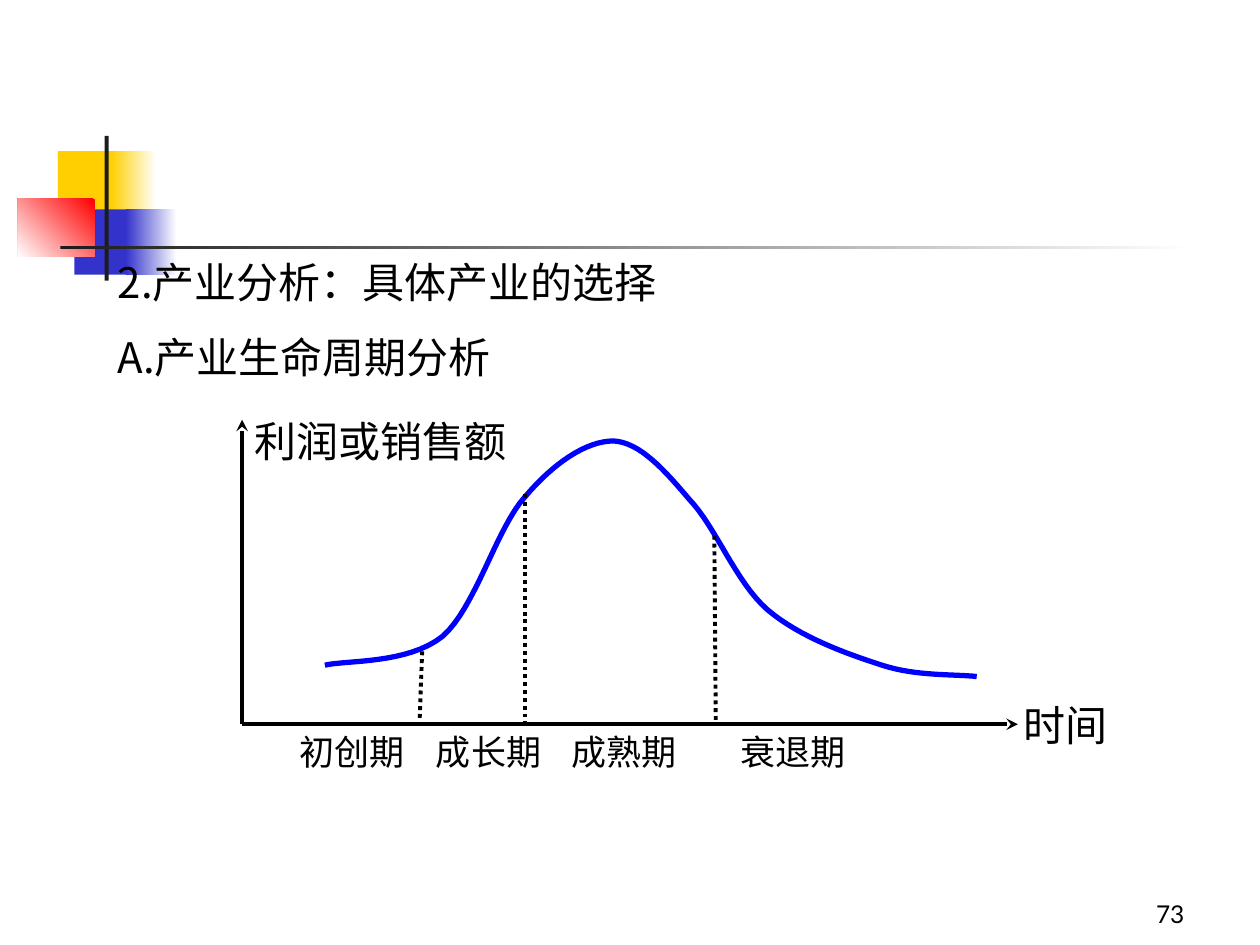
"""Build the industry life cycle slide."""
from dataclasses import dataclass

import lxml.etree
import pptx
import pptx.dml.color
import pptx.enum.dml
import pptx.enum.shapes
import pptx.enum.text
import pptx.oxml.ns
import pptx.util

Cm = pptx.util.Cm
Pt = pptx.util.Pt
Align = pptx.enum.text.PP_ALIGN
Anchor = pptx.enum.text.MSO_ANCHOR
Dash = pptx.enum.dml.MSO_LINE

COLORS = {
    "gold": "FFCF01", "blue": "3333CC", "red": "FF0000", "dark": "1C1C1C",
    "white": "FFFFFF", "black": "000000", "curve": "0000FF",
}


@dataclass
class Block:
    box: tuple
    color: str
    fade: str = ""
    angle: int = 0


@dataclass
class Label:
    text: str
    box: tuple
    size: int = 24
    align: Align = Align.LEFT
    font: str = "Lato"
    anchor: Anchor = Anchor.TOP


@dataclass
class Line:
    start: tuple
    end: tuple
    arrow: bool = False


BLOCKS = [
    Block((1.17, 3.05, 1.22, 1.32), "gold"),
    Block((2.24, 3.05, 0.91, 1.32), "gold", "white"),
    Block((1.5, 4.22, 1.17, 1.32), "blue"),
    Block((2.54, 4.22, 1.02, 1.32), "blue", "white"),
    Block((0.36, 4.01, 1.55, 1.17), "red", "white", 225),
    Block((2.11, 2.74, 0.08, 2.92), "dark"),
    Block((1.22, 4.95, 22.86, 0.08), "dark", "white"),
]
ZERO = (4.88, 14.6)
LINES = [
    Line(ZERO, (20.52, 14.6), True),
    Line(ZERO, (4.88, 8.46), True),
    Line((8.51, 13.13), (8.46, 14.5)),
    Line((10.59, 9.96), (10.59, 14.55)),
    Line((14.4, 10.8), (14.43, 14.63)),
]
START = (6.55, 13.41)
CURVE = [
    ((6.96, 13.31), (8.23, 13.39), (8.92, 12.83)),
    ((9.58, 12.27), (10.01, 10.64), (10.59, 10.01)),
    ((11.15, 9.35), (11.81, 8.89), (12.37, 8.89)),
    ((12.9, 8.92), (13.39, 9.47), (13.89, 10.06)),
    ((14.43, 10.62), (14.83, 11.73), (15.47, 12.29)),
    ((16.13, 12.85), (17.07, 13.18), (17.78, 13.41)),
    ((18.47, 13.64), (19.3, 13.59), (19.69, 13.64)),
]
STEPS = 16
STAGES = {"初创期": 5.51, "成长期": 8.26, "成熟期": 11, "衰退期": 14.4}
HEAD = Label("2.产业分析：具体产业的选择", (2.12, 5.16, 12.5, 1.17), font="Noto Sans CJK SC")
LABELS = [
    Label("A.产业生命周期分析", (2.12, 6.56, 9.53, 1.27), font="Noto Sans CJK SC"),
    Label("利润或销售额", (4.88, 8.26, 6.35, 1.27)),
    Label("时间", (20.32, 13.97, 2.33, 1.27), align=Align.CENTER),
    Label("73", (18.85, 17.58, 5.28, 1.27), 14, Align.RIGHT, anchor=Anchor.BOTTOM),
] + [
    Label(name, (left, ZERO[1], 3.18, 1.12), 20, Align.CENTER)
    for name, left in STAGES.items()
]


def rgb(name: str) -> pptx.dml.color.RGBColor:
    return pptx.dml.color.RGBColor.from_string(COLORS[name])


def lengths(vals: tuple) -> list:
    return [Cm(val) for val in vals]


def draw_block(shapes, block: Block) -> None:
    shape = shapes.add_shape(pptx.enum.shapes.MSO_SHAPE.RECTANGLE, *lengths(block.box))
    shape.shadow.inherit = False
    shape.line.fill.background()
    if block.fade:
        shape.fill.gradient()
        shape.fill.gradient_angle = block.angle
        for stop, name in zip(shape.fill.gradient_stops, (block.color, block.fade)):
            stop.color.rgb = rgb(name)
    else:
        shape.fill.solid()
        shape.fill.fore_color.rgb = rgb(block.color)


def draw_line(shapes, line: Line) -> None:
    kind = pptx.enum.shapes.MSO_CONNECTOR.STRAIGHT
    shape = shapes.add_connector(kind, *lengths(line.start + line.end))
    shape.line.color.rgb = rgb("black")
    shape.line.width = Pt(2.25)
    qn = pptx.oxml.ns.qn
    if line.arrow:
        stroke = shape.line.fill and shape.element.spPr.find(qn("a:ln"))
        lxml.etree.SubElement(stroke, qn("a:tailEnd"), type="stealth")
    else:
        shape.line.dash_style = Dash.ROUND_DOT
    lxml.etree.SubElement(shape.element.spPr, qn("a:effectLst"))


def trace(start: tuple, parts: list) -> list:
    dots = []
    for one, two, end in parts:
        for step in range(1, STEPS + 1):
            t = step / STEPS
            u = 1 - t
            dots.append(tuple(
                Cm(u**3 * a + 3 * u * u * t * b + 3 * u * t * t * c + t**3 * d)
                for a, b, c, d in zip(start, one, two, end)
            ))
        start = end
    return dots


def draw_curve(shapes) -> None:
    pen = shapes.build_freeform(*lengths(START))
    pen.add_line_segments(trace(START, CURVE), close=False)
    shape = pen.convert_to_shape()
    shape.shadow.inherit = False
    shape.fill.background()
    shape.line.color.rgb = rgb("curve")
    shape.line.width = Pt(3)


def write(shape, label: Label) -> None:
    shape.left, shape.top, shape.width, shape.height = lengths(label.box)
    frame = shape.text_frame
    frame.text = label.text
    frame.word_wrap = True
    frame.auto_size = pptx.enum.text.MSO_AUTO_SIZE.NONE
    frame.vertical_anchor = label.anchor
    par = frame.paragraphs[0]
    par.alignment = label.align
    par.space_before = Pt(0)
    font = par.runs[0].font
    font.size = Pt(label.size)
    font.name = label.font
    font.color.rgb = rgb("black")


def main() -> None:
    deck = pptx.Presentation()
    deck.slide_width, deck.slide_height = Cm(25.4), Cm(19.05)
    slide = deck.slides.add_slide(deck.slide_layouts[5])
    shapes = slide.shapes
    for block in BLOCKS:
        draw_block(shapes, block)
    draw_curve(shapes)
    for line in LINES:
        draw_line(shapes, line)
    title = shapes.title
    write(title, HEAD)
    title.text_frame.paragraphs[0].line_spacing = 0.9
    shapes.element.append(title.element)
    for label in LABELS:
        write(shapes.add_textbox(*lengths(label.box)), label)
    deck.save("out.pptx")


if __name__ == "__main__":
    main()
